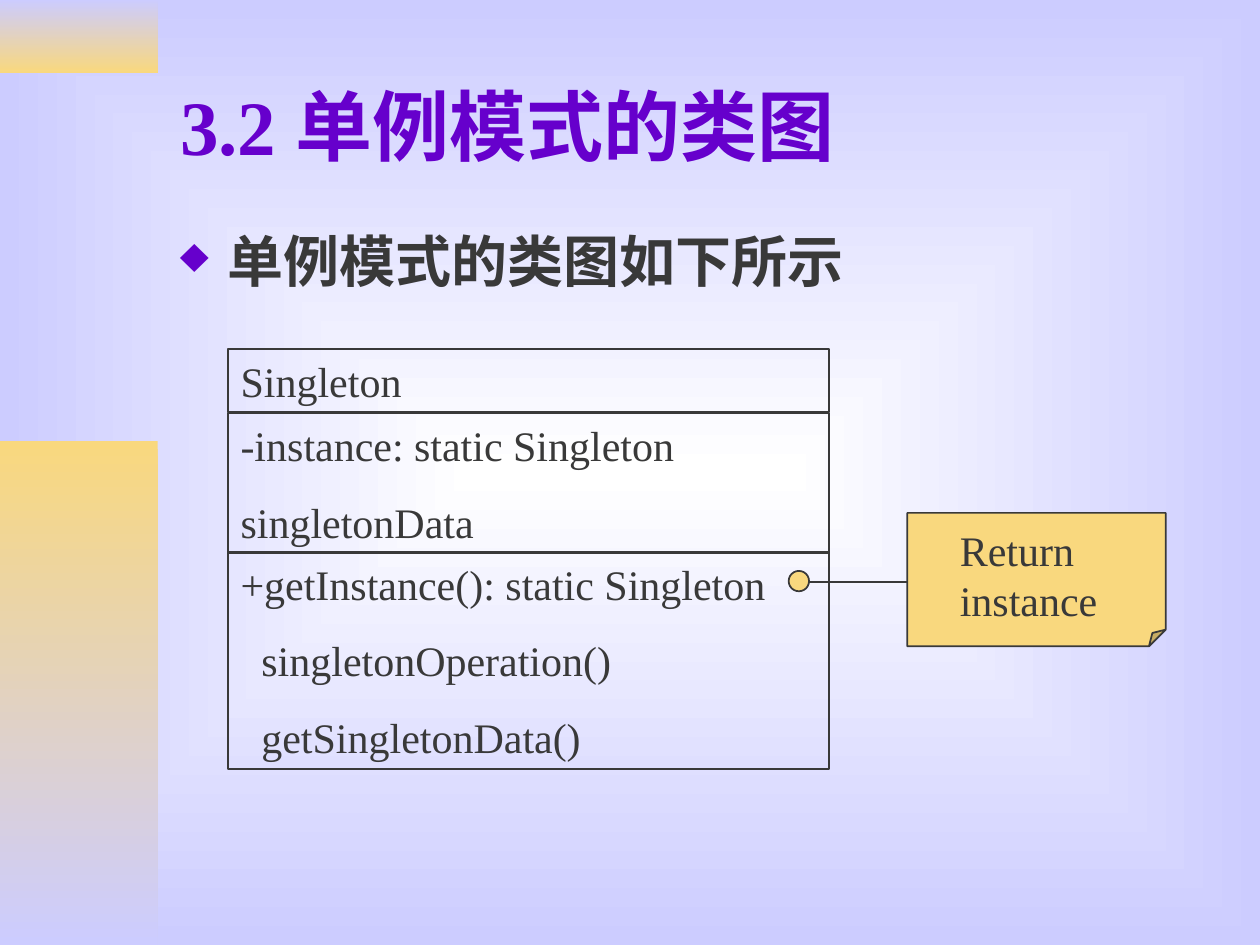
import pptx
import pptx.util
import pptx.dml.color
import pptx.enum.shapes
import pptx.enum.text
import pptx.oxml
import pptx.oxml.ns
import lxml.etree

Cm, Pt = pptx.util.Cm, pptx.util.Pt
RGBColor = pptx.dml.color.RGBColor
SHAPE = pptx.enum.shapes.MSO_SHAPE
ANCHOR = pptx.enum.text.MSO_ANCHOR
qn = pptx.oxml.ns.qn

WHITE = RGBColor(0xFF, 0xFF, 0xFF)
LAVENDER = RGBColor(0xCC, 0xCC, 0xFF)
GOLD = RGBColor(0xF9, 0xD8, 0x7E)
PURPLE = RGBColor(0x66, 0x00, 0xCC)
INK = RGBColor(0x39, 0x39, 0x39)


def write(box, lines, size, color=INK, bold=False, anchor=ANCHOR.TOP):
    frame = box.text_frame
    frame.word_wrap = True
    frame.vertical_anchor = anchor
    frame.text = "\n".join(lines)
    for index, paragraph in enumerate(frame.paragraphs):
        paragraph.alignment = pptx.enum.text.PP_ALIGN.LEFT
        if index:
            paragraph.space_before = Pt(15)
        for run in paragraph.runs:
            run.font.name = "Times New Roman"
            run.font.size = Pt(size)
            run.font.bold = bold
            run.font.color.rgb = color


def add_outlined(kind, left, top, width, height, fill=None):
    shape = slide.shapes.add_shape(kind, Cm(left), Cm(top), Cm(width), Cm(height))
    shape.shadow.inherit = False
    if fill is None:
        shape.fill.background()
    else:
        shape.fill.solid()
        shape.fill.fore_color.rgb = fill
    shape.line.color.rgb = INK
    shape.line.width = Pt(1)
    return shape


presentation = pptx.Presentation()
presentation.slide_width, presentation.slide_height = Cm(25.4), Cm(19.05)
slide = presentation.slides.add_slide(presentation.slide_layouts[6])

# Background: white centre fading to lavender edges
backdrop = slide.background.fill
backdrop.gradient()
for stop, color in zip(backdrop.gradient_stops, (WHITE, LAVENDER)):
    stop.color.rgb = color
gradient = slide._element.find(".//" + qn("a:gradFill"))
gradient.remove(gradient.find(qn("a:lin")))
centre = lxml.etree.SubElement(gradient, qn("a:path"), path="rect")
lxml.etree.SubElement(centre, qn("a:fillToRect"), l="50000", t="50000", r="50000", b="50000")

# Gold side bands
for top, height, colors in ((0, 1.47, (LAVENDER, GOLD)), (8.89, 10.16, (GOLD, LAVENDER))):
    band = slide.shapes.add_shape(SHAPE.RECTANGLE, 0, Cm(top), Cm(3.18), Cm(height))
    band.shadow.inherit = False
    band.line.fill.background()
    band.fill.gradient()
    band.fill.gradient_angle = 270
    for stop, color in zip(band.fill.gradient_stops, colors):
        stop.color.rgb = color

# Title
title = slide.shapes.add_textbox(Cm(3.38), Cm(0.84), Cm(21.59), Cm(3.35))
write(title, ["3.2 单例模式的类图"], 44, PURPLE, True, ANCHOR.MIDDLE)

# Bulleted statement
statement = slide.shapes.add_textbox(Cm(3.38), Cm(4.45), Cm(21.59), Cm(2.08))
write(statement, ["单例模式的类图如下所示"], 32, bold=True)
properties = statement.text_frame.paragraphs[0]._p.get_or_add_pPr()
properties.set("marL", str(Cm(0.95)))
properties.set("indent", str(-Cm(0.95)))
bullet_color = lxml.etree.SubElement(properties, qn("a:buClr"))
lxml.etree.SubElement(bullet_color, qn("a:srgbClr"), val=str(PURPLE))
lxml.etree.SubElement(properties, qn("a:buSzPct"), val="90000")
lxml.etree.SubElement(properties, qn("a:buChar"), char="♦")

# Class box: name, attributes, operations
compartments = (
    (7.04, 1.27, ["Singleton"]),
    (8.33, 2.82, ["-instance: static Singleton", "singletonData"]),
    (11.13, 4.37, ["+getInstance(): static Singleton", "singletonOperation()",
                   "getSingletonData()"]),
)
for top, height, members in compartments:
    compartment = add_outlined(SHAPE.RECTANGLE, 4.6, top, 12.12, height)
    write(compartment, members, 24)
for operation in compartment.text_frame.paragraphs[1:]:
    operation._p.get_or_add_pPr().set("marL", str(Cm(0.42)))

# Note with its text
note = add_outlined(SHAPE.FOLDED_CORNER, 18.29, 10.34, 5.21, 2.69, GOLD)
fold = note._element.spPr.find(qn("a:prstGeom")).get_or_add_avLst()
lxml.etree.SubElement(fold, qn("a:gd"), name="adj", fmla="val 12500")
note_text = slide.shapes.add_textbox(Cm(19.1), Cm(10.44), Cm(3.51), Cm(2.29))
write(note_text, ["Return instance"], 24)

# Link from getInstance() to the note
add_outlined(SHAPE.OVAL, 15.9, 11.51, 0.41, 0.41, GOLD)
link = slide.shapes.add_connector(
    pptx.enum.shapes.MSO_CONNECTOR.STRAIGHT, Cm(16.31), Cm(11.73), Cm(18.29), Cm(11.73))
link.line.color.rgb = INK
link.line.width = Pt(1)
lxml.etree.SubElement(link._element.spPr, qn("a:effectLst"))

presentation.save("out.pptx")
